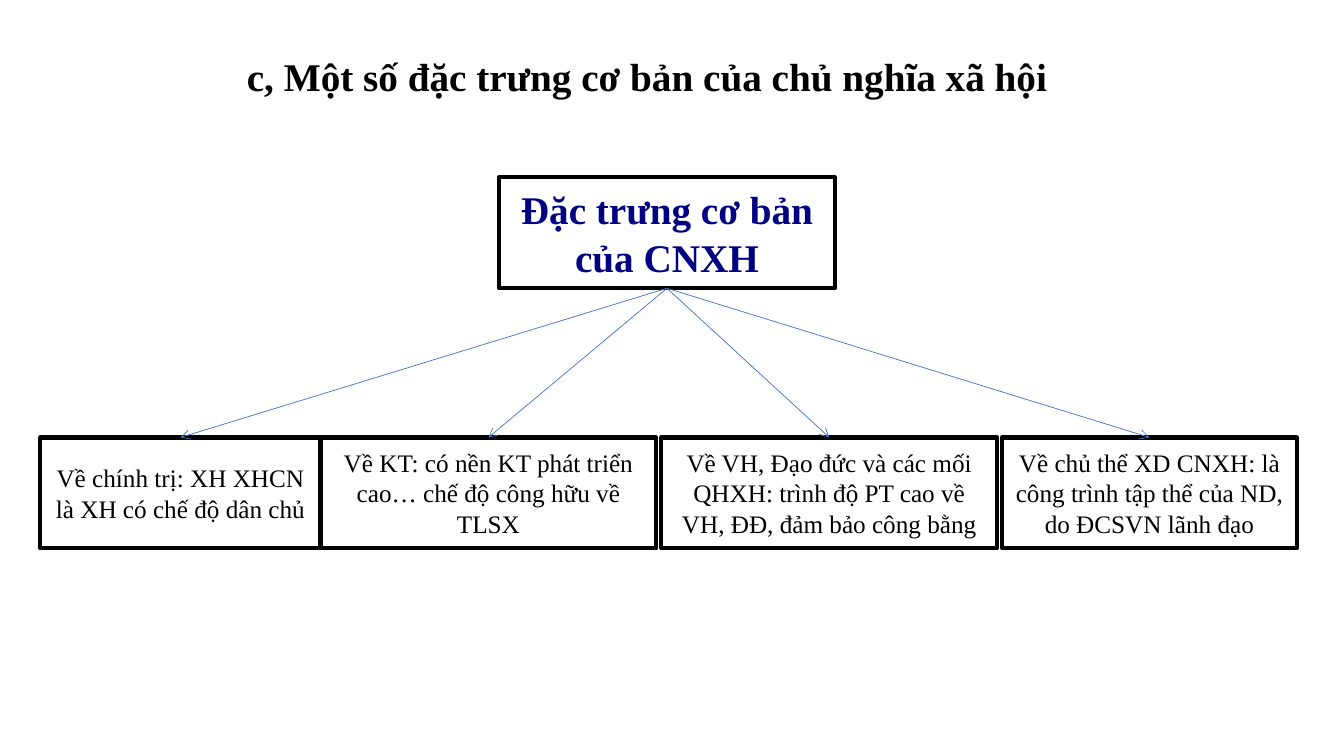
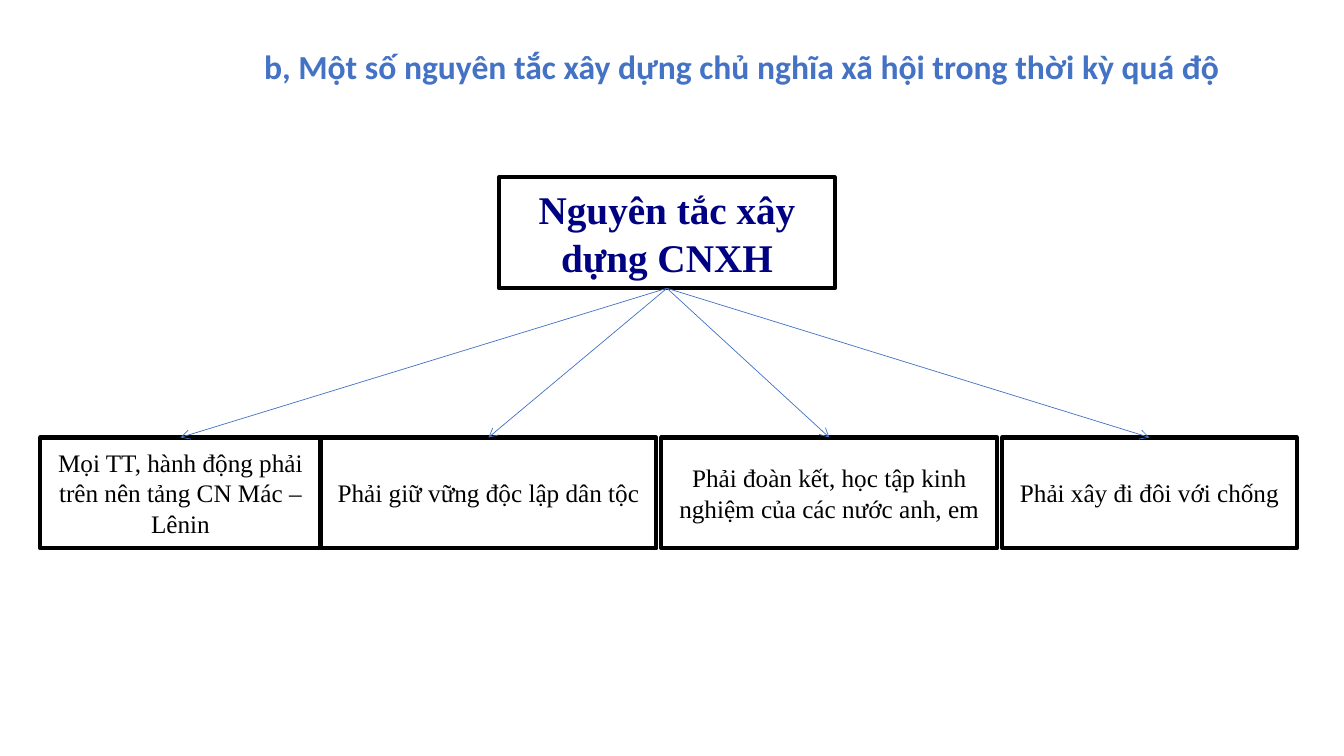
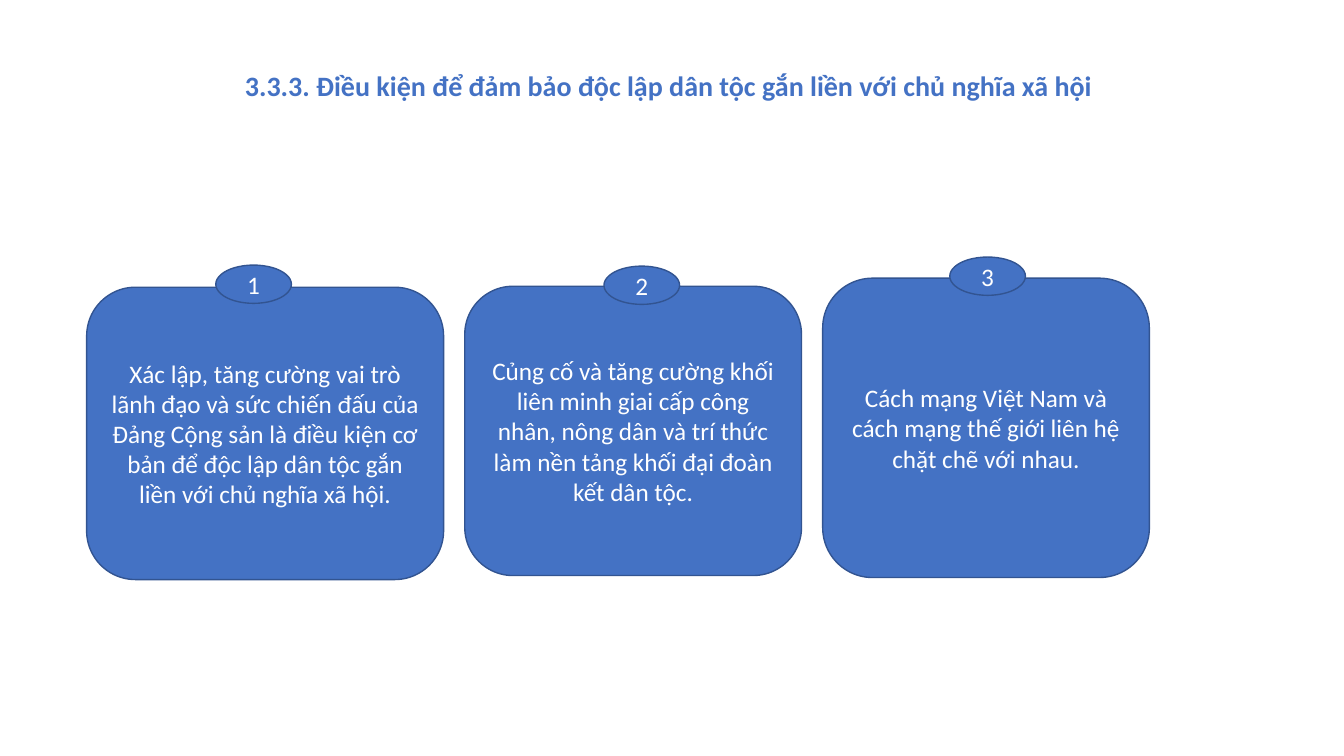
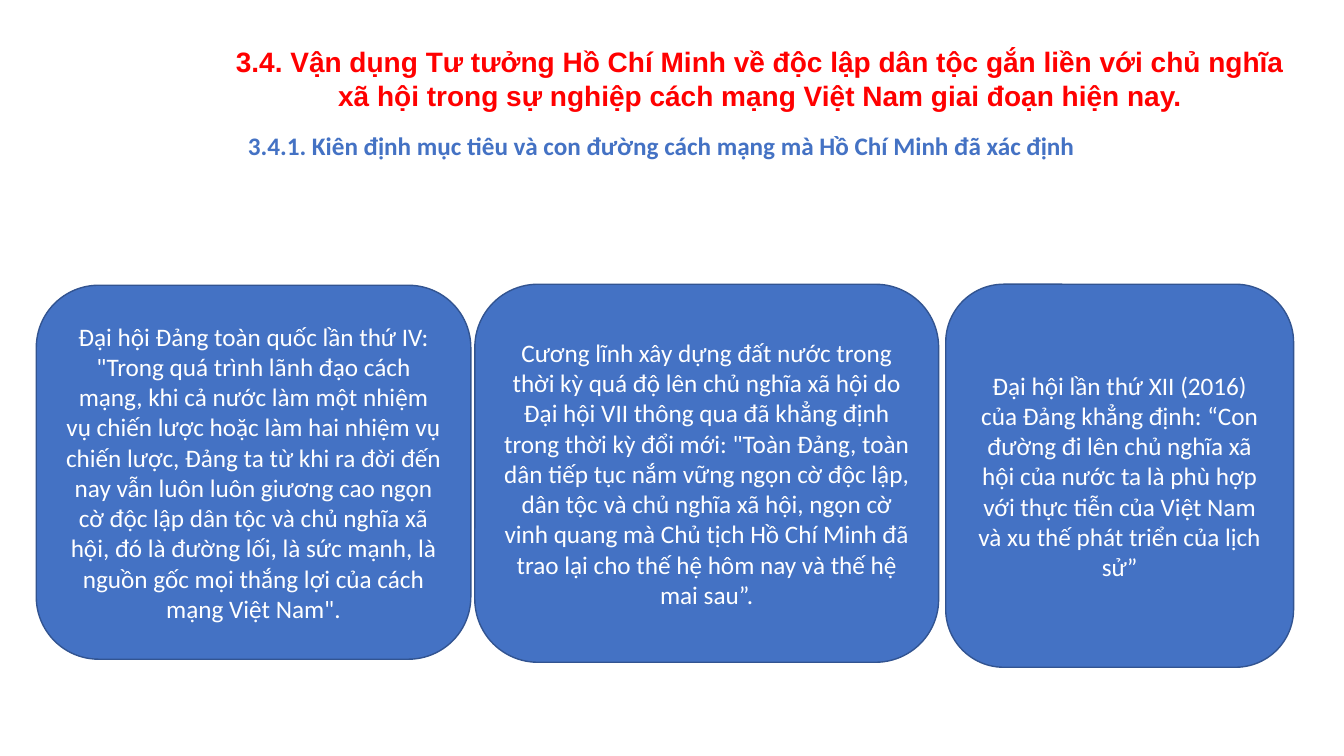
import lxml.etree
import pptx
import pptx.dml.color
import pptx.enum.shapes
import pptx.enum.text
import pptx.oxml.ns
import pptx.util

Inches = pptx.util.Inches
Pt = pptx.util.Pt
RGBColor = pptx.dml.color.RGBColor
SHAPE = pptx.enum.shapes.MSO_SHAPE
ANCHOR = pptx.enum.text.MSO_ANCHOR
ALIGN = pptx.enum.text.PP_ALIGN
qn = pptx.oxml.ns.qn

BLACK = RGBColor(0x00, 0x00, 0x00)
WHITE = RGBColor(0xFF, 0xFF, 0xFF)
RED = RGBColor(0xFF, 0x00, 0x00)
NAVY = RGBColor(0x00, 0x00, 0x82)
BLUE = RGBColor(0x44, 0x72, 0xC4)
DARK_BLUE = RGBColor(0x32, 0x54, 0x91)

SERIF = "Times New Roman"
SANS = "Calibri"

ROOT_TEXT = ({"name": SERIF, "size": Pt(28), "bold": True}, NAVY)
BRANCH_TEXT = ({"name": SERIF, "size": Pt(18)}, BLACK)
CARD_TEXT = ({"name": SANS, "size": Pt(18)}, WHITE)

BOX_STYLE = {"fill": WHITE, "line": BLACK, "weight": 3}
CARD_STYLE = {"fill": BLUE, "line": DARK_BLUE, "weight": 1}

ROOT_PLACE = (4.95, 1.76, 3.33, 1.1)
BRANCH_TOP, BRANCH_HEIGHT = 4.34, 1.1
BRANCH_SPANS = [(0.4, 2.78), (3.18, 3.33), (6.56, 3.33), (9.94, 2.92)]
BADGE_SIZE = (0.75, 0.38)
TOP_SITE, BOTTOM_SITE = 0, 2


def write(frame, text, style, align):
    font_values, color = style
    frame.word_wrap = True
    paragraph = frame.paragraphs[0]
    paragraph.alignment = align
    run = paragraph.add_run()
    run.text = text
    for attribute, value in font_values.items():
        setattr(run.font, attribute, value)
    run.font.color.rgb = color


def add_heading(slide, place, text, size, font=SANS, color=BLUE,
                align=ALIGN.LEFT, anchor=ANCHOR.TOP):
    frame = slide.shapes.add_textbox(*map(Inches, place)).text_frame
    write(frame, text, ({"name": font, "size": Pt(size), "bold": True}, color), align)
    frame.vertical_anchor = anchor
    frame.auto_size = pptx.enum.text.MSO_AUTO_SIZE.SHAPE_TO_FIT_TEXT


def add_panel(slide, outline, place, text, text_style, panel_style):
    """Add a filled, outlined shape with centred text."""
    panel = slide.shapes.add_shape(outline, *map(Inches, place))
    panel.shadow.inherit = False
    panel.fill.solid()
    panel.fill.fore_color.rgb = panel_style["fill"]
    panel.line.color.rgb = panel_style["line"]
    panel.line.width = Pt(panel_style["weight"])
    panel.text_frame.vertical_anchor = ANCHOR.MIDDLE
    write(panel.text_frame, text, text_style, ALIGN.CENTER)
    return panel


def add_arrow(slide, root, branch):
    arrow = slide.shapes.add_connector(
        pptx.enum.shapes.MSO_CONNECTOR.STRAIGHT, 0, 0, 0, 0)
    arrow.begin_connect(root, BOTTOM_SITE)
    arrow.end_connect(branch, TOP_SITE)
    arrow.line.color.rgb = BLUE
    arrow.line.width = Pt(0.5)
    properties = arrow.line._get_or_add_ln()
    lxml.etree.SubElement(properties, qn("a:tailEnd"), type="arrow")
    lxml.etree.SubElement(properties.getparent(), qn("a:effectLst"))


def add_tree(slide, root_text, branch_texts):
    """Add a root box with an arrow to each box in the row below."""
    root = add_panel(slide, SHAPE.RECTANGLE, ROOT_PLACE, root_text, ROOT_TEXT, BOX_STYLE)
    branches = [
        add_panel(slide, SHAPE.RECTANGLE, (left, BRANCH_TOP, width, BRANCH_HEIGHT),
                  text, BRANCH_TEXT, BOX_STYLE)
        for (left, width), text in zip(BRANCH_SPANS, branch_texts)
    ]
    for branch in branches:
        add_arrow(slide, root, branch)


def add_cards(slide, cards):
    for place, text in cards:
        add_panel(slide, SHAPE.ROUNDED_RECTANGLE, place, text, CARD_TEXT, CARD_STYLE)


def add_badges(slide, corners):
    for number, corner in enumerate(corners, 1):
        add_panel(slide, SHAPE.OVAL, corner + BADGE_SIZE, str(number), CARD_TEXT, CARD_STYLE)


def build_features(slide):
    add_heading(slide, (2.35, 0.47, 10.08, 0.57),
                "c, Một số đặc trưng cơ bản của chủ nghĩa xã hội", 28, SERIF, BLACK)
    add_tree(slide, "Đặc trưng cơ bản của CNXH", [
        "Về chính trị: XH XHCN là XH có chế độ dân chủ",
        "Về KT: có nền KT phát triển cao… chế độ công hữu về TLSX",
        "Về VH, Đạo đức và các mối QHXH: trình độ PT cao về VH, ĐĐ, đảm bảo công bằng",
        "Về chủ thể XD CNXH: là công trình tập thể của ND, do ĐCSVN lãnh đạo",
    ])


def build_principles(slide):
    add_heading(slide, (2.52, 0.41, 10.29, 0.5),
                "b, Một số nguyên tắc xây dựng chủ nghĩa xã hội trong thời kỳ quá độ", 24)
    add_tree(slide, "Nguyên tắc xây dựng CNXH", [
        "Mọi TT, hành động phải trên nên tảng CN Mác – Lênin",
        "Phải giữ vững độc lập dân tộc",
        "Phải đoàn kết, học tập kinh nghiệm của các nước anh, em",
        "Phải xây đi đôi với chống",
    ])


def build_conditions(slide):
    add_heading(slide, (2.33, 0.63, 9.98, 0.44),
                "3.3.3. Điều kiện để đảm bảo độc lập dân tộc gắn liền với chủ nghĩa xã hội", 20)
    add_cards(slide, [
        ((0.86, 2.85, 3.54, 2.9),
         "Xác lập, tăng cường vai trò lãnh đạo và sức chiến đấu của Đảng Cộng sản "
         "là điều kiện cơ bản để độc lập dân tộc gắn liền với chủ nghĩa xã hội."),
        ((4.61, 2.84, 3.34, 2.87),
         "Củng cố và tăng cường khối liên minh giai cấp công nhân, nông dân và "
         "trí thức làm nền tảng khối đại đoàn kết dân tộc."),
        ((8.16, 2.76, 3.24, 2.97),
         "Cách mạng Việt Nam và cách mạng thế giới liên hệ chặt chẽ với nhau."),
    ])
    add_badges(slide, [(2.14, 2.63), (5.99, 2.64), (9.42, 2.55)])


def build_application(slide):
    add_heading(slide, (2.24, 0.39, 10.6, 0.77),
                "3.4. Vận dụng Tư tưởng Hồ Chí Minh về độc lập dân tộc gắn liền với chủ nghĩa "
                "xã hội trong sự nghiệp cách mạng Việt Nam giai đoạn hiện nay.",
                20, "Arial", RED, ALIGN.CENTER, ANCHOR.MIDDLE)
    add_heading(slide, (2.36, 1.24, 10.07, 0.4),
                "3.4.1. Kiên định mục tiêu và con đường cách mạng mà Hồ Chí Minh đã xác định", 18)
    add_cards(slide, [
        ((0.36, 2.83, 4.31, 3.71),
         "Đại hội Đảng toàn quốc lần thứ IV: \"Trong quá trình lãnh đạo cách mạng, khi cả "
         "nước làm một nhiệm vụ chiến lược hoặc làm hai nhiệm vụ chiến lược, Đảng ta từ khi "
         "ra đời đến nay vẫn luôn luôn giương cao ngọn cờ độc lập dân tộc và chủ nghĩa xã "
         "hội, đó là đường lối, là sức mạnh, là nguồn gốc mọi thắng lợi của cách mạng "
         "Việt Nam\"."),
        ((4.71, 2.82, 4.6, 3.75),
         "Cương lĩnh xây dựng đất nước trong thời kỳ quá độ lên chủ nghĩa xã hội do Đại hội "
         "VII thông qua đã khẳng định trong thời kỳ đổi mới: \"Toàn Đảng, toàn dân tiếp tục "
         "nắm vững ngọn cờ độc lập, dân tộc và chủ nghĩa xã hội, ngọn cờ vinh quang mà Chủ "
         "tịch Hồ Chí Minh đã trao lại cho thế hệ hôm nay và thế hệ mai sau”."),
        ((9.38, 2.82, 3.45, 3.8),
         "Đại hội lần thứ XII (2016) của Đảng khẳng định: “Con đường đi lên chủ nghĩa xã hội "
         "của nước ta là phù hợp với thực tiễn của Việt Nam và xu thế phát triển của lịch sử”"),
    ])


def main():
    deck = pptx.Presentation()
    deck.slide_width = Inches(13.33)
    deck.slide_height = Inches(7.5)
    blank = deck.slide_layouts[6]
    for build in (build_features, build_principles, build_conditions, build_application):
        build(deck.slides.add_slide(blank))
    deck.save("out.pptx")


if __name__ == "__main__":
    main()
